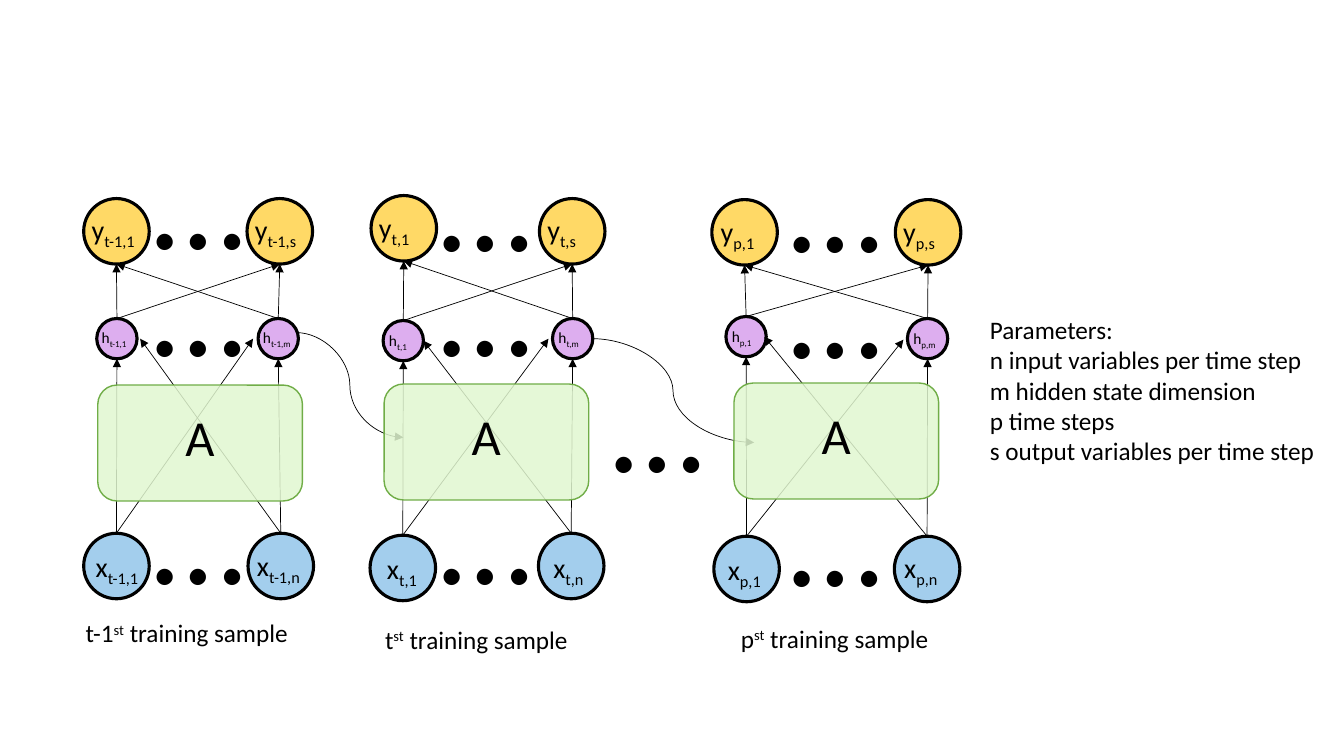
from dataclasses import dataclass

from lxml.etree import SubElement
from pptx import Presentation
from pptx.dml.color import RGBColor
from pptx.enum.shapes import MSO_CONNECTOR, MSO_SHAPE
from pptx.enum.text import MSO_AUTO_SIZE
from pptx.oxml.ns import qn
from pptx.util import Emu, Pt


@dataclass(frozen=True)
class Theme:
    font: str = "Calibri"
    ink: str = "000000"
    cell: str = "E1F7D0"
    edge: str = "70AD47"
    alpha: int = 85000
    body: int = 18
    unit: int = 36
    dots: int = 96
    ring: float = 2.25
    wire: float = 0.5


@dataclass(frozen=True)
class Kind:
    fill: str
    size: int   # circle, px
    high: int   # label box, px
    text: int   # label, pt


@dataclass(frozen=True)
class Node:
    sub: str
    x: int
    y: int
    dx: int     # label offset from the circle
    dy: int
    wide: int


@dataclass(frozen=True)
class Sample:
    name: str
    inputs: tuple
    hidden: tuple
    outputs: tuple
    tips: tuple     # heads of the crossing input arrows
    cell: tuple
    dots: tuple     # x, then one y for each row
    note: tuple     # caption x, y, width
    link: tuple = ()    # curve arriving from the sample before


THEME = Theme()
KINDS = {
    "x": Kind("A3CEED", 65, 44, 20),
    "h": Kind("DDAEEF", 40, 29, 11),
    "y": Kind("FFD966", 65, 44, 20),
}
SAMPLES = (
    Sample("t-1",
           (Node("t-1,1", 83, 529, 2, 11, 68), Node("t-1,n", 246, 529, -1, 10, 68)),
           (Node("t-1,1", 96, 316, -5, 5, 48), Node("t-1,m", 256, 316, -5, 5, 55)),
           (Node("t-1,1", 83, 197, -2, 9, 68), Node("t-1,s", 245, 197, -2, 9, 66)),
           ((251, 336), (139, 336)), (97, 382), (141, 109, 215, 442),
           (75, 608, 225)),
    Sample("t",
           (Node("t,1", 367, 531, 7, 11, 53), Node("t,n", 534, 529, 5, 12, 53)),
           (Node("t,1", 380, 318, -4, 6, 40), Node("t,m", 548, 316, -4, 5, 43)),
           (Node("t,1", 368, 194, -2, 10, 53), Node("t,s", 535, 197, -2, 9, 51)),
           ((544, 336), (420, 338)), (381, 381), (426, 111, 215, 442),
           (372, 614, 212), (294, 330, 400, 434)),
    Sample("p",
           (Node("p,1", 708, 532, 4, 11, 56), Node("p,n", 887, 532, 0, 9, 57)),
           (Node("p,1", 720, 314, -4, 6, 42), Node("p,m", 900, 316, -4, 6, 45)),
           (Node("p,1", 706, 198, -1, 10, 57), Node("p,s", 888, 198, -2, 10, 55)),
           ((896, 337), (758, 334)), (728, 380), (773, 112, 217, 444),
           (725, 613, 210), (587, 336, 748, 439)),
)
NOTES = ("Parameters:", "n input variables per time step",
         "m hidden state dimension", "p time steps",
         "s output variables per time step")


def px(count):
    return Emu(count * 9144)


def color(code):
    return RGBColor.from_string(code)


def text(slide, box, lines, size):
    """Each line is a list of (words, baseline shift in percent)."""
    shape = slide.shapes.add_textbox(*map(px, box))
    frame = shape.text_frame
    frame.word_wrap = False
    frame.auto_size = MSO_AUTO_SIZE.SHAPE_TO_FIT_TEXT
    for i, line in enumerate(lines):
        para = frame.add_paragraph() if i else frame.paragraphs[0]
        for words, shift in line:
            run = para.add_run()
            run.text = words
            run.font.name = THEME.font
            run.font.size = Pt(size)
            run.font.color.rgb = color(THEME.ink)
            if shift:
                run._r.get_or_add_rPr().set("baseline", str(shift * 1000))


def shape(slide, form, box, fill, edge, width):
    item = slide.shapes.add_shape(form, *map(px, box))
    item.shadow.inherit = False
    item.fill.solid()
    item.fill.fore_color.rgb = color(fill)
    item.line.color.rgb = color(edge)
    item.line.width = Pt(width)
    return item


def arrow(slide, form, start, end):
    wire = slide.shapes.add_connector(form, *start, *end)
    wire.line.color.rgb = color(THEME.ink)
    wire.line.width = Pt(THEME.wire)
    props = wire._element.spPr
    SubElement(props.find(qn("a:ln")), qn("a:tailEnd"), type="triangle")
    SubElement(props, qn("a:effectLst"))
    return wire


def rise(slide, base, end):
    """Arrow from the top of a circle."""
    start = (base.left + base.width // 2, base.top)
    arrow(slide, MSO_CONNECTOR.STRAIGHT, start, end).begin_connect(base, 0)


def foot(disc):
    return disc.left + disc.width // 2, disc.top + disc.height


def node(slide, letter, spec):
    kind = KINDS[letter]
    disc = shape(slide, MSO_SHAPE.OVAL, (spec.x, spec.y, kind.size, kind.size),
                 kind.fill, THEME.ink, THEME.ring)
    box = (spec.x + spec.dx, spec.y + spec.dy, spec.wide, kind.high)
    text(slide, box, [[(letter, 0), (spec.sub, -25)]], kind.text)
    return disc


def cell(slide, x, y):
    box = shape(slide, MSO_SHAPE.ROUNDED_RECTANGLE, (x, y, 203, 115),
                THEME.cell, THEME.edge, 1)
    tint = box._element.spPr.find(qn("a:solidFill")).find(qn("a:srgbClr"))
    SubElement(tint, qn("a:alpha"), val=str(THEME.alpha))
    text(slide, (x + 77, y + 16, 48, 71), [[("A", 0)]], THEME.unit)


def dots(slide, x, y):
    text(slide, (x, y, 113, 172), [[("…", 0)]], THEME.dots)


def sample(slide, data):
    # Circles
    lows = [node(slide, "x", spec) for spec in data.inputs]
    mids = [node(slide, "h", spec) for spec in data.hidden]
    tops = [node(slide, "y", spec) for spec in data.outputs]

    # Arrows: inputs to hidden, hidden to outputs
    for low, mid, tip in zip(lows, mids, data.tips):
        rise(slide, low, foot(mid))
        rise(slide, low, tuple(map(px, tip)))
    for mid in mids:
        for top in tops:
            rise(slide, mid, foot(top))
    if data.link:
        ends = tuple(map(px, data.link))
        arrow(slide, MSO_CONNECTOR.CURVE, ends[:2], ends[2:])

    # Cell over the arrows, then dots and caption
    cell(slide, *data.cell)
    x, *rows = data.dots
    for y in rows:
        dots(slide, x, y)
    line = [(data.name, 0), ("st", 30), (" training sample", 0)]
    text(slide, (*data.note, 40), [line], THEME.body)


def main():
    deck = Presentation()
    deck.slide_width, deck.slide_height = px(1333), px(750)
    slide = deck.slides.add_slide(deck.slide_layouts[6])

    for data in SAMPLES:
        sample(slide, data)
    dots(slide, 597, 330)

    # Parameter list
    lines = [[(note, 0)] for note in NOTES]
    text(slide, (972, 307, 346, 162), lines, THEME.body)
    deck.save("out.pptx")


if __name__ == "__main__":
    main()
